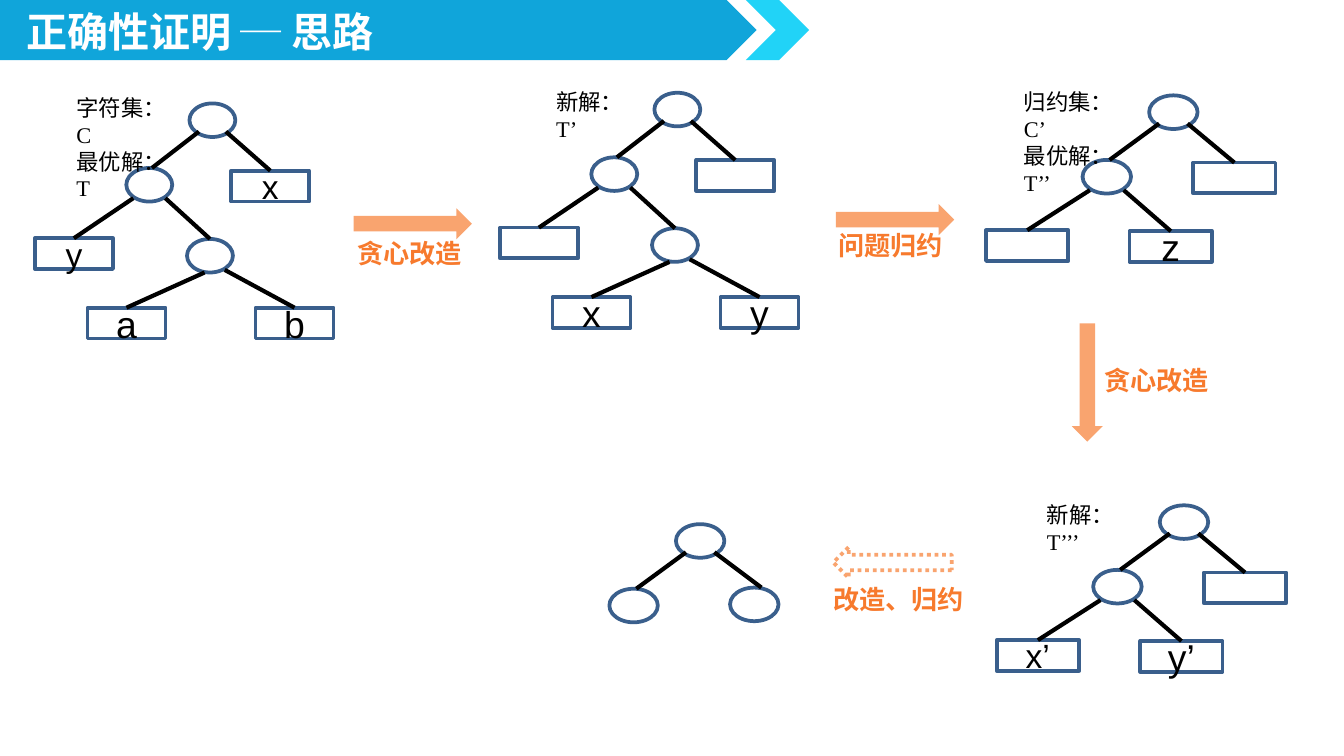
import pptx
import pptx.util
import pptx.dml.color
import pptx.enum.dml
import pptx.enum.shapes
import pptx.enum.text
import pptx.oxml.ns
import lxml.etree

Pt = pptx.util.Pt
SHAPE = pptx.enum.shapes.MSO_SHAPE
CJK = "Noto Sans CJK SC"
ORANGE = "F9A46F"
NODE_SIZES = {"circle": (24.6, 18), "box": (41.8, 16.5)}
WIDE = 1.055

# name: (kind, dx, dy, parent, start dx, start dy, end dx)
NODES = {
    "root": ("circle", 0, 0, None, 0, 0, 0),
    "left": ("circle", -33.8, 34.6, "root", -7.2, 6.1, 1.4),
    "right": ("box", 31, 35.3, "root", 7.2, 6.1, 0),
    "right_end": ("circle", 27.5, 34, "root", 7.2, 6.1, 3.6),
    "outer": ("box", -74.2, 71.5, "left", -8.6, 7.2, 0),
    "inner": ("circle", -1.3, 72.6, "left", 8.6, 7.2, 0),
    "inner_leaf": ("box", -1.3, 72, "left", 8.6, 7.2, 0),
    "low_left": ("box", -46, 108.7, "inner", -2.9, 9, 0),
    "low_right": ("box", 44, 108.7, "inner", 7.9, 7.6, 0),
}
FULL = ["root", "left", "right", "outer", "inner", "low_left", "low_right"]
REDUCED = ["root", "left", "right", "outer", "inner_leaf"]
SMALL = ["root", "left", "right_end"]


def rgb(value):
    return pptx.dml.color.RGBColor.from_string(value)


def add_run(p, text, font, size, color, bold=False):
    r = p.add_run()
    r.text = text
    r.font.name = font
    r.font.size = Pt(size)
    r.font.bold = bold
    r.font.color.rgb = rgb(color)
    ea = lxml.etree.SubElement(r.font._element, pptx.oxml.ns.qn("a:ea"))
    ea.set("typeface", font)


def add_shape(shapes, kind, x, y, w, h, fill=None, line=None):
    sp = shapes.add_shape(kind, Pt(x), Pt(y), Pt(w), Pt(h))
    sp.shadow.inherit = False
    if fill:
        sp.fill.solid()
        sp.fill.fore_color.rgb = rgb(fill)
    else:
        sp.fill.background()
    if line:
        sp.line.color.rgb = rgb(line)
        sp.line.width = Pt(2)
    else:
        sp.line.fill.background()
    return sp


def add_node(shapes, kind, cx, cy, scale, label):
    w, h = NODE_SIZES[kind]
    w *= scale
    preset = SHAPE.OVAL if kind == "circle" else SHAPE.RECTANGLE
    sp = add_shape(shapes, preset, cx - w / 2, cy - h / 2, w, h, "FFFFFF", "3A5F8C")
    if label:
        text, size = label
        tf = sp.text_frame
        tf.vertical_anchor = pptx.enum.text.MSO_ANCHOR.MIDDLE
        p = tf.paragraphs[0]
        p.alignment = pptx.enum.text.PP_ALIGN.CENTER
        add_run(p, text, "Arial", size, "000000")
    return sp


def add_edge(shapes, x1, y1, x2, y2, box=None):
    line = shapes.add_connector(
        pptx.enum.shapes.MSO_CONNECTOR.STRAIGHT, Pt(x1), Pt(y1), Pt(x2), Pt(y2))
    line.line.color.rgb = rgb("000000")
    line.line.width = Pt(2.25)
    lxml.etree.SubElement(line._element.spPr, pptx.oxml.ns.qn("a:effectLst"))
    if box is not None:
        line.end_connect(box, 0)


def add_tree(s, x, y, names, scale=1, labels=None):
    labels = labels or {}
    shapes = s.shapes.add_group_shape().shapes
    placed = {}
    for name in names:
        kind, dx, dy = NODES[name][:3]
        cx, cy = x + dx * scale, y + dy
        placed[name] = (cx, cy, add_node(shapes, kind, cx, cy, scale, labels.get(name)))
    for name in names[1:]:
        kind, _, _, parent, start_dx, start_dy, end_dx = NODES[name]
        px, py, _ = placed[parent]
        cx, cy, sp = placed[name]
        add_edge(shapes, px + start_dx * scale, py + start_dy,
                 cx + end_dx * scale, cy - NODE_SIZES[kind][1] / 2,
                 sp if kind == "box" else None)


def add_text(s, x, y, w, h):
    tf = s.shapes.add_textbox(Pt(x), Pt(y), Pt(w), Pt(h)).text_frame
    tf.word_wrap = False
    return tf


def add_caption(s, x, y, w, text):
    tf = add_text(s, x, y, w, 24.5)
    add_run(tf.paragraphs[0], text, CJK, 14, "F77A2D", True)


def add_note(s, x, y, w, lines):
    tf = add_text(s, x, y, w, 7 + 14.5 * len(lines))
    tf.word_wrap = True
    tf.margin_right = Pt(14.4)
    for i, (name, symbol) in enumerate(lines):
        p = tf.add_paragraph() if i else tf.paragraphs[0]
        add_run(p, name, CJK, 12, "000000")
        add_run(p, symbol, "Times New Roman", 12, "000000")


def add_arrow(s, x, y, rotation=0, dotted=False):
    fill, line = (None, ORANGE) if dotted else (ORANGE, None)
    sp = add_shape(s.shapes, SHAPE.RIGHT_ARROW, x, y, 63.4, 16.6, fill, line)
    sp.rotation = rotation
    if dotted:
        sp.line.dash_style = pptx.enum.dml.MSO_LINE.ROUND_DOT


def add_title(s, text):
    add_shape(s.shapes, SHAPE.PENTAGON, 0, 0, 405.4, 32.2, "10A5DA")
    add_shape(s.shapes, SHAPE.CHEVRON, 399.6, 0, 33.9, 32.2, "21D3F7")
    p = add_text(s, 7.2, 5, 205, 29).paragraphs[0]
    p.line_spacing = 0.8
    add_run(p, text, CJK, 22, "FFFFFF", True)


def main():
    prs = pptx.Presentation()
    prs.slide_width, prs.slide_height = Pt(720), Pt(405)
    s = prs.slides.add_slide(prs.slide_layouts[6])
    add_title(s, "正确性证明 ─ 思路")

    add_tree(s, 113.8, 64.4, FULL, labels={
        "right": ("x", 18), "outer": ("y", 18),
        "low_left": ("a", 20), "low_right": ("b", 20)})
    add_tree(s, 362.9, 58.7, FULL, labels={
        "low_left": ("x", 20), "low_right": ("y", 20)})
    add_tree(s, 628.6, 60.1, REDUCED, WIDE, {"inner_leaf": ("z", 20)})
    add_tree(s, 634.3, 279.7, REDUCED, WIDE, {
        "outer": ("x’", 18), "inner_leaf": ("y’", 20)})
    add_tree(s, 375.1, 289.8, SMALL, WIDE)

    add_note(s, 33.8, 46.8, 71.3, [("字符集：", "C"), ("最优解：", "T")])
    add_note(s, 290.9, 43.9, 62.6, [("新解：", "T’")])
    add_note(s, 541.4, 43.9, 77.8, [("归约集：", "C’"), ("最优解：", "T’’")])
    add_note(s, 553.7, 265, 68.4, [("新解：", "T’’’")])

    add_arrow(s, 189.4, 111.6)
    add_arrow(s, 447.8, 109.4)
    add_arrow(s, 550.8, 196.6, 90)
    add_arrow(s, 446.4, 293, 180, dotted=True)

    add_caption(s, 184.3, 123.8, 71.3, "贪心改造")
    add_caption(s, 442.1, 119.5, 71.3, "问题归约")
    add_caption(s, 439.2, 308.9, 85, "改造、归约")
    add_caption(s, 584.6, 191.5, 71.3, "贪心改造")
    prs.save("out.pptx")


if __name__ == "__main__":
    main()
